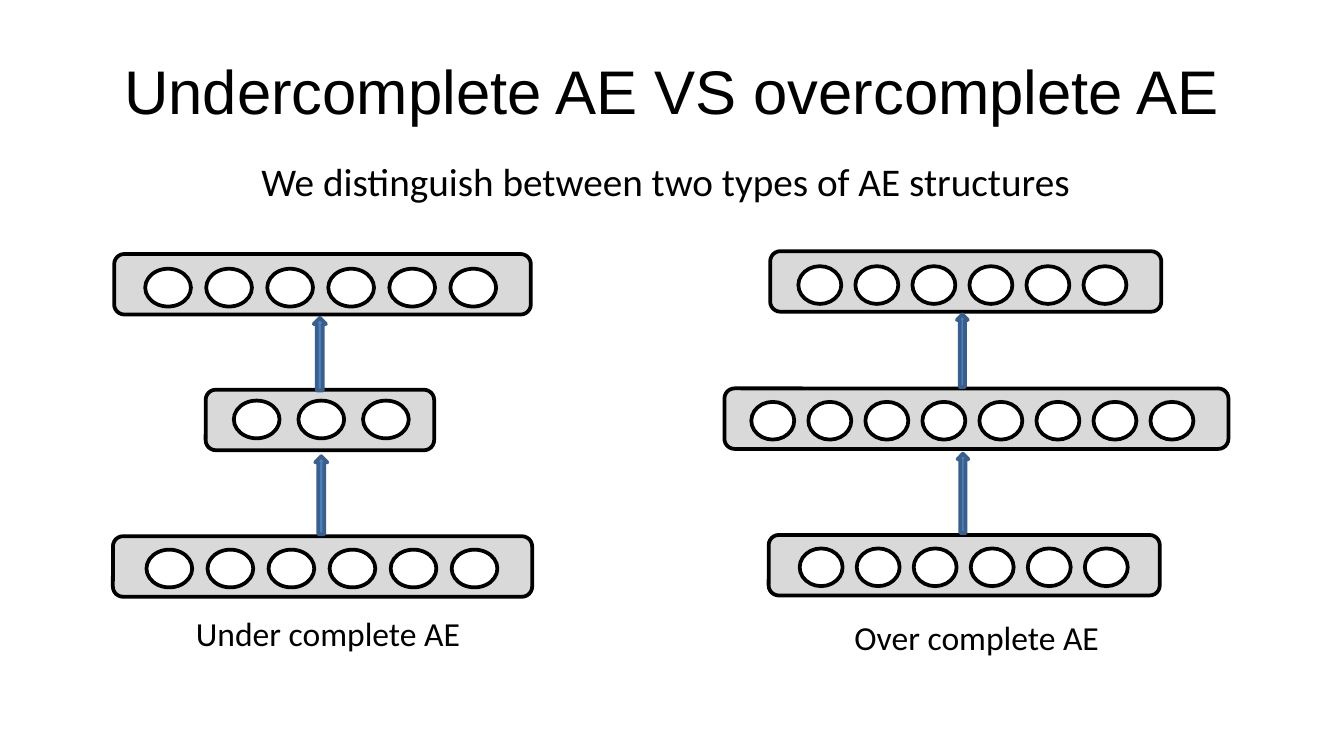
import pptx
import pptx.dml.color
import pptx.enum.shapes
import pptx.enum.text
import pptx.util

Pt = pptx.util.Pt
SHAPE = pptx.enum.shapes.MSO_SHAPE
ALIGN = pptx.enum.text.PP_ALIGN
ANCHOR = pptx.enum.text.MSO_ANCHOR


def color(value):
    return pptx.dml.color.RGBColor.from_string(value)


def write(text, left, top, width, height, size, font="Calibri", align=ALIGN.LEFT, anchor=ANCHOR.TOP):
    box = page.shapes.add_textbox(Pt(left), Pt(top), Pt(width), Pt(height))
    frame = box.text_frame
    frame.word_wrap = True
    frame.vertical_anchor = anchor
    para = frame.paragraphs[0]
    para.alignment = align
    span = para.add_run()
    span.text = text
    span.font.name = font
    span.font.size = Pt(size)
    span.font.color.rgb = color("000000")


deck = pptx.Presentation()
deck.slide_width = Pt(720)
deck.slide_height = Pt(405)
page = deck.slides.add_slide(deck.slide_layouts[6])

write("Undercomplete AE VS overcomplete AE", 49.7, 21.6, 620.6, 53.3, 33,
      font="Arial", align=ALIGN.CENTER, anchor=ANCHOR.MIDDLE)

layer_height = 32.4
unit_height = 20.2
networks = [
    {
        "unit_width": 24.5,
        "layers": [
            (61.2, 136.1, 223.2, 77.8, 144, 6, 32.7),
            (60.5, 287.3, 224.6, 78.5, 294.5, 6, 32.7),
            (110.2, 208.8, 122.4, 125.3, 214.6, 3, 34.6),
        ],
        "arrows": [(151.2, 262.1, 41.8, 6.5), (151.9, 186.5, 38.9, 6.5)],
    },
    {
        "unit_width": 23,
        "layers": [
            (412.6, 134.6, 209.5, 427.7, 142.6, 6, 30.55),
            (411.8, 286.6, 209.5, 428.4, 293.8, 6, 30.55),
            (388.1, 208.1, 270, 402.5, 215.3, 8, 30.55),
        ],
        "arrows": [(494.6, 261.4, 42.5, 5.8), (496.1, 185, 38.9, 5.8)],
    },
]

for network in networks:
    parts = []
    for left, top, width, unit_left, unit_top, count, step in network["layers"]:
        parts.append((SHAPE.ROUNDED_RECTANGLE, (left, top, width, layer_height), "D9D9D9", "000000", 0))
        for index in range(count):
            bounds = (unit_left + index * step, unit_top, network["unit_width"], unit_height)
            parts.append((SHAPE.OVAL, bounds, "FFFFFF", "000000", 0))
    for bounds in network["arrows"]:
        parts.append((SHAPE.RIGHT_ARROW, bounds, "4F81BD", "3A5F8C", 270))

    group = page.shapes.add_group_shape()
    for kind, bounds, fill, line, rotation in parts:
        shape = group.shapes.add_shape(kind, *[Pt(length) for length in bounds])
        shape.shadow.inherit = False
        shape.rotation = rotation
        shape.fill.solid()
        shape.fill.fore_color.rgb = color(fill)
        shape.line.color.rgb = color(line)
        shape.line.width = Pt(2)

write("We distinguish between two types of AE structures", 48.2, 80.6, 617, 32.4, 21, align=ALIGN.CENTER)
write("Under complete AE", 97.9, 324.7, 167.8, 28.8, 18)
write("Over complete AE", 450.7, 326.9, 158.4, 28.8, 18)

deck.save("out.pptx")
